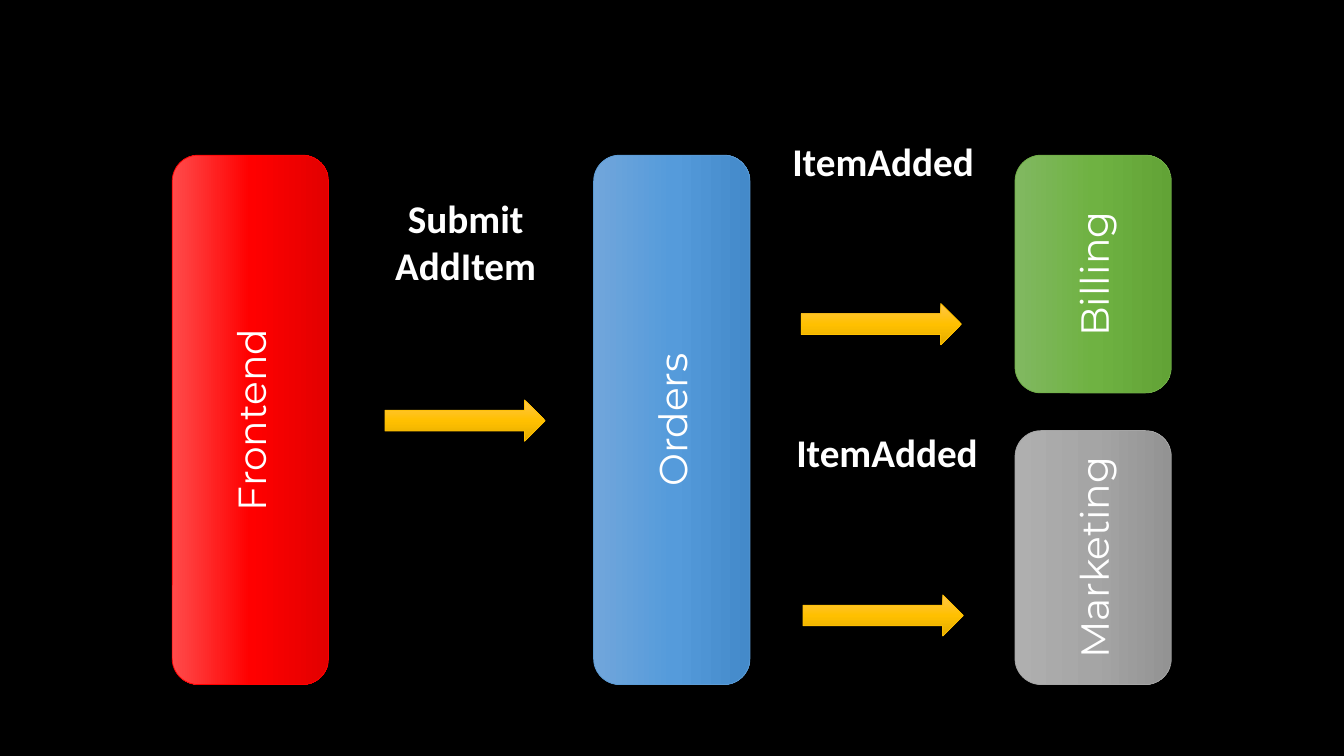
from copy import deepcopy

from pptx import Presentation
from pptx.dml.color import RGBColor
from pptx.enum.shapes import MSO_SHAPE
from pptx.enum.text import MSO_ANCHOR, MSO_AUTO_SIZE, PP_ALIGN
from pptx.util import Cm, Pt

WIDE = 3.94
TOP, BOTTOM = 3.91, 17.25
FIRST, STEP = 6.31, 10.62
RED = ("FF4B4B", "FF0000", "E30000", "FF0000")
BLUE = ("71A6DB", "559BDB", "448ACA", "5B9BD5")
GREEN = ("81B861", "6FB242", "62A336", "70AD47")
GREY = ("AFAFAF", "A5A5A5", "939393", "A5A5A5")
GOLD = ("FFC64B", "FFC000", "E3AB00", "FFC000")


def color(code):
    return RGBColor.from_string(code)


def write(frame, text, font="Calibri", size=28, bold=False, ink="FFFFFF"):
    frame.word_wrap = True
    frame.text = text
    for para in frame.paragraphs:
        para.alignment = PP_ALIGN.CENTER
        for run in para.runs:
            run.font.name = font
            run.font.size = Pt(size)
            run.font.bold = bold
            run.font.color.rgb = color(ink)


def paint(shape, tones):
    """Fill from top to bottom with three tones; the fourth colours the line."""
    *shades, edge = tones
    shape.shadow.inherit = False
    fill = shape.fill
    fill.gradient()
    fill.gradient_angle = 270
    first = fill._fill._gradFill.gsLst[0]
    first.addnext(deepcopy(first))
    for i, (stop, shade) in enumerate(zip(fill.gradient_stops, shades)):
        stop.position = i / 2
        stop.color.rgb = color(shade)
    shape.line.color.rgb = color(edge)
    shape.line.width = Pt(0.5)


def add_box(slide, text, column, top, bottom, tones):
    """Draw an upright service box, turned so its text reads upwards."""
    long = bottom - top
    left = FIRST + column * STEP - long / 2
    box = slide.shapes.add_shape(
        MSO_SHAPE.ROUNDED_RECTANGLE,
        Cm(left), Cm((top + bottom - WIDE) / 2), Cm(long), Cm(WIDE))
    box.rotation = 270
    paint(box, tones)
    box.text_frame.vertical_anchor = MSO_ANCHOR.MIDDLE
    write(box.text_frame, text, font="Montserrat")


def add_arrow(slide, left, top):
    arrow = slide.shapes.add_shape(
        MSO_SHAPE.RIGHT_ARROW, Cm(left), Cm(top), Cm(4.04), Cm(1.04))
    paint(arrow, GOLD)


def add_label(slide, text, left, top, height=1.45):
    label = slide.shapes.add_textbox(Cm(left), Cm(top), Cm(6.25), Cm(height))
    write(label.text_frame, text, bold=True)
    label.text_frame.auto_size = MSO_AUTO_SIZE.SHAPE_TO_FIT_TEXT


def main():
    deck = Presentation()
    deck.slide_width, deck.slide_height = Cm(33.87), Cm(19.05)
    slide = deck.slides.add_slide(deck.slide_layouts[6])
    slide.background.fill.solid()
    slide.background.fill.fore_color.rgb = color("000000")

    add_box(slide, "Frontend", 0, TOP, BOTTOM, RED)
    add_box(slide, "Orders", 1, TOP, BOTTOM, BLUE)
    add_box(slide, "Billing", 2, TOP, 9.9, GREEN)
    add_box(slide, "Marketing", 2, 10.85, BOTTOM, GREY)

    for left, top in ((9.7, 10.08), (20.19, 7.65), (20.24, 14.99)):
        add_arrow(slide, left, top)

    add_label(slide, "Submit\nAddItem", 8.61, 4.78, height=2.64)
    add_label(slide, "ItemAdded", 19.13, 3.33)
    add_label(slide, "ItemAdded", 19.23, 10.67)

    deck.save("out.pptx")


if __name__ == "__main__":
    main()
